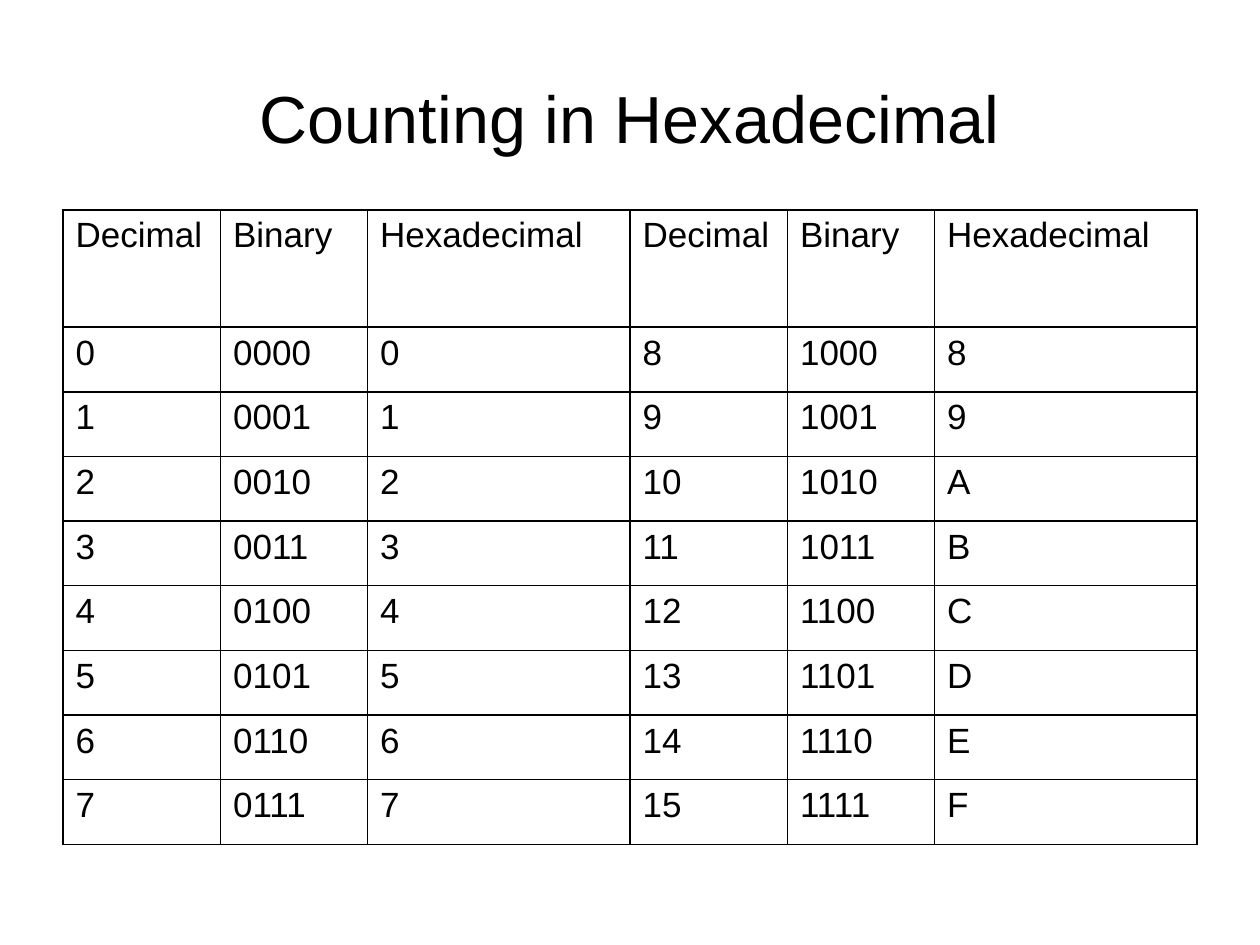
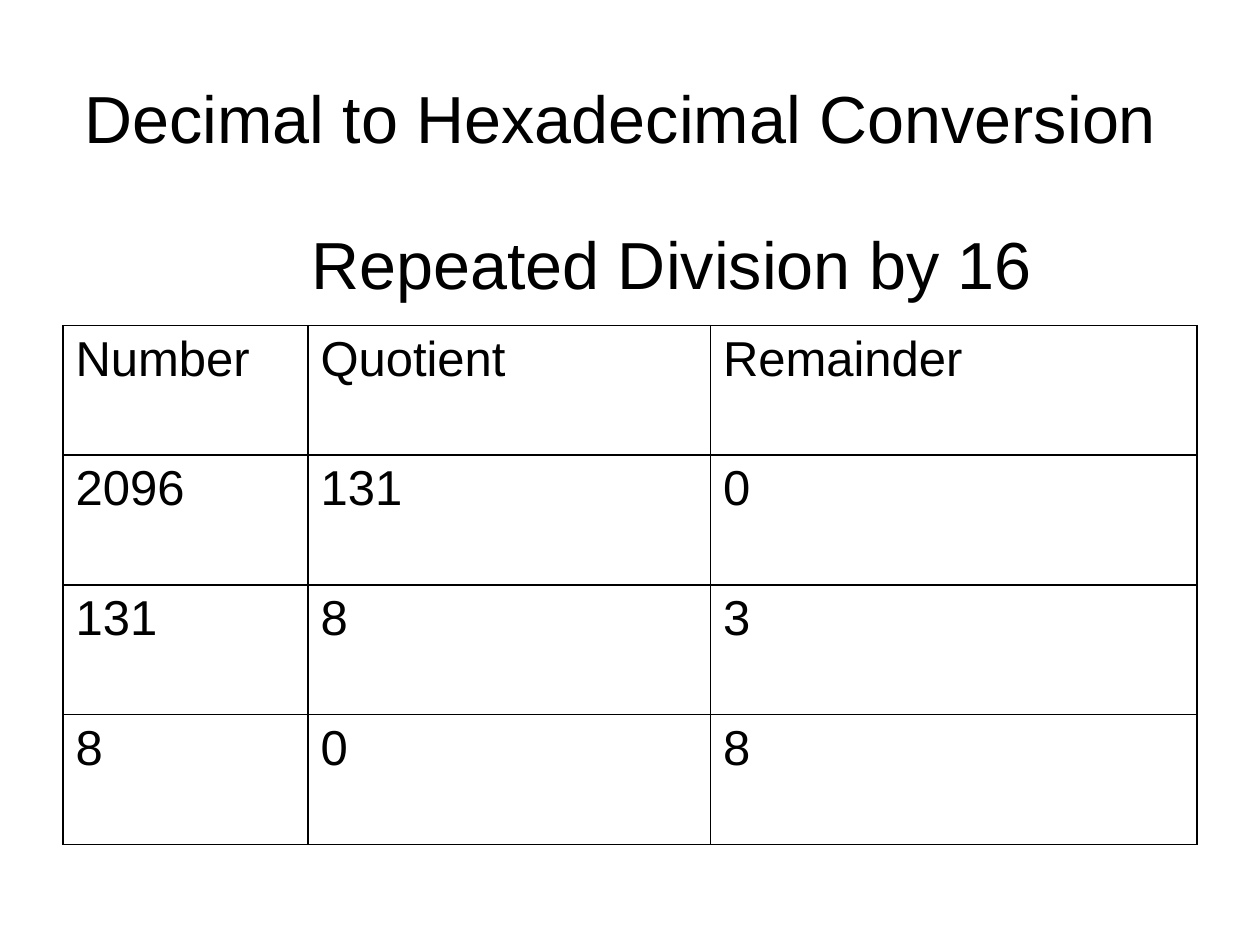
from dataclasses import dataclass

from pptx import Presentation
from pptx.dml.color import RGBColor
from pptx.enum.text import MSO_ANCHOR as Anchor, PP_ALIGN as Align
from pptx.oxml import parse_xml
from pptx.oxml.ns import nsdecls
from pptx.slide import Slide
from pptx.table import _Cell as Cell
from pptx.util import Pt

BLACK = RGBColor(0x00, 0x00, 0x00)
FONT = "Arial"
TITLE_SIZE = 38
BORDER_WIDTH = 1
HANGING_INDENT = 27
LEFT, WIDTH = 36, 648


@dataclass(frozen=True)
class Box:
    left: float
    top: float
    width: float
    height: float


@dataclass(frozen=True)
class Grid:
    top: float
    column_widths: list[float]
    header_height: float
    row_height: float
    font_size: float
    rows: list[list[str]]


TITLE_BOX = Box(LEFT, 21.6, WIDTH, 90)
SUBTITLE_BOX = Box(144, 120, 480, 60)


def style_font(paragraph, size: float) -> None:
    paragraph.font.name = FONT
    paragraph.font.size = Pt(size)
    paragraph.font.color.rgb = BLACK


def add_title(slide: Slide, text: str, box: Box = TITLE_BOX) -> None:
    shape = slide.shapes.add_textbox(
        Pt(box.left), Pt(box.top), Pt(box.width), Pt(box.height))
    frame = shape.text_frame
    frame.word_wrap = True
    frame.vertical_anchor = Anchor.MIDDLE
    paragraph = frame.paragraphs[0]
    paragraph.text = text
    paragraph.alignment = Align.CENTER
    style_font(paragraph, TITLE_SIZE)


def add_borders(cell: Cell) -> None:
    properties = cell._tc.get_or_add_tcPr()
    for side in ("lnL", "lnR", "lnT", "lnB"):
        properties.append(parse_xml(
            f'<a:{side} {nsdecls("a")} w="{Pt(BORDER_WIDTH)}"><a:solidFill>'
            f'<a:srgbClr val="{BLACK}"/></a:solidFill></a:{side}>'))


def fill_cell(cell: Cell, text: str, size: float) -> None:
    add_borders(cell)
    cell.fill.background()
    paragraph = cell.text_frame.paragraphs[0]
    paragraph.text = text
    paragraph.alignment = Align.JUSTIFY
    properties = paragraph._p.get_or_add_pPr()
    properties.set("marL", str(Pt(HANGING_INDENT)))
    properties.set("indent", str(-Pt(HANGING_INDENT)))
    style_font(paragraph, size)


def add_grid(slide: Slide, grid: Grid) -> None:
    heights = [grid.header_height] + [grid.row_height] * (len(grid.rows) - 1)
    table = slide.shapes.add_table(
        len(grid.rows), len(grid.column_widths), Pt(LEFT), Pt(grid.top),
        Pt(sum(grid.column_widths)), Pt(sum(heights))).table
    table.first_row = table.horz_banding = False
    for column, width in zip(table.columns, grid.column_widths):
        column.width = Pt(width)
    for row, height, texts in zip(table.rows, heights, grid.rows):
        row.height = Pt(height)
        for cell, text in zip(row.cells, texts):
            fill_cell(cell, text, grid.font_size)


def number_forms(number: int) -> list[str]:
    """Give the number in decimal, four-digit binary and hexadecimal."""
    return [f"{number}", f"{number:04b}", f"{number:X}"]


def division_rows(number: int, base: int) -> list[list[str]]:
    """List number, quotient and remainder until the quotient is zero."""
    rows = []
    while number:
        quotient, remainder = divmod(number, base)
        rows.append([str(number), str(quotient), str(remainder)])
        number = quotient
    return rows


COUNTING = Grid(
    top=120, column_widths=[90, 84, 150] * 2,
    header_height=67, row_height=36.95, font_size=20,
    rows=[["Decimal", "Binary", "Hexadecimal"] * 2]
    + [number_forms(number) + number_forms(number + 8) for number in range(8)])

DIVISION = Grid(
    top=186, column_widths=[140, 230, 278],
    header_height=74.15, row_height=74.15, font_size=28,
    rows=[["Number", "Quotient", "Remainder"]] + division_rows(2096, 16))


def main() -> None:
    presentation = Presentation()
    presentation.slide_width, presentation.slide_height = Pt(720), Pt(540)
    blank = presentation.slide_layouts[6]

    counting_slide = presentation.slides.add_slide(blank)
    add_title(counting_slide, "Counting in Hexadecimal")
    add_grid(counting_slide, COUNTING)

    conversion_slide = presentation.slides.add_slide(blank)
    add_title(conversion_slide, "Repeated Division by 16", SUBTITLE_BOX)
    add_grid(conversion_slide, DIVISION)
    add_title(conversion_slide, "Decimal to Hexadecimal Conversion ")

    presentation.save("out.pptx")


if __name__ == "__main__":
    main()
